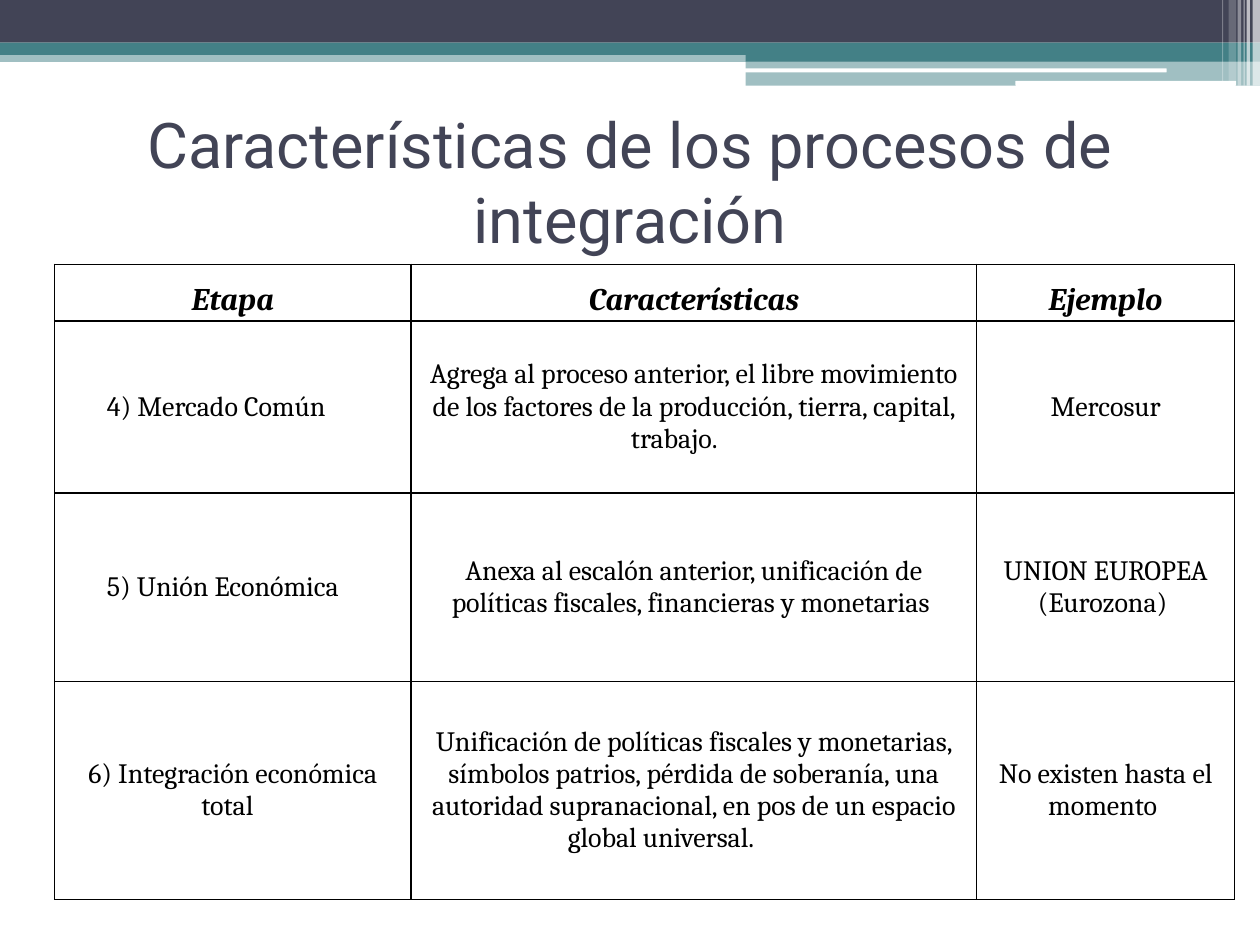
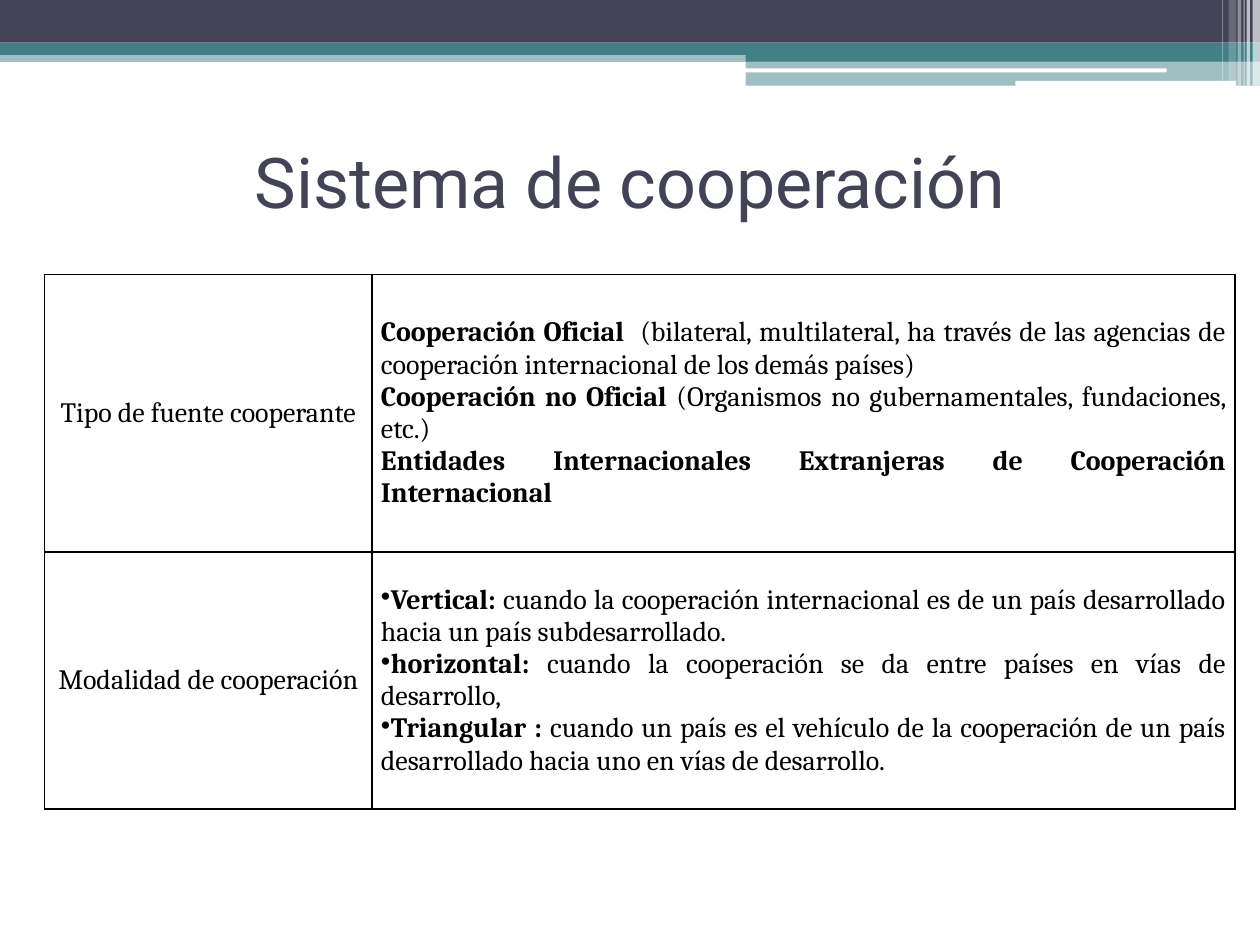
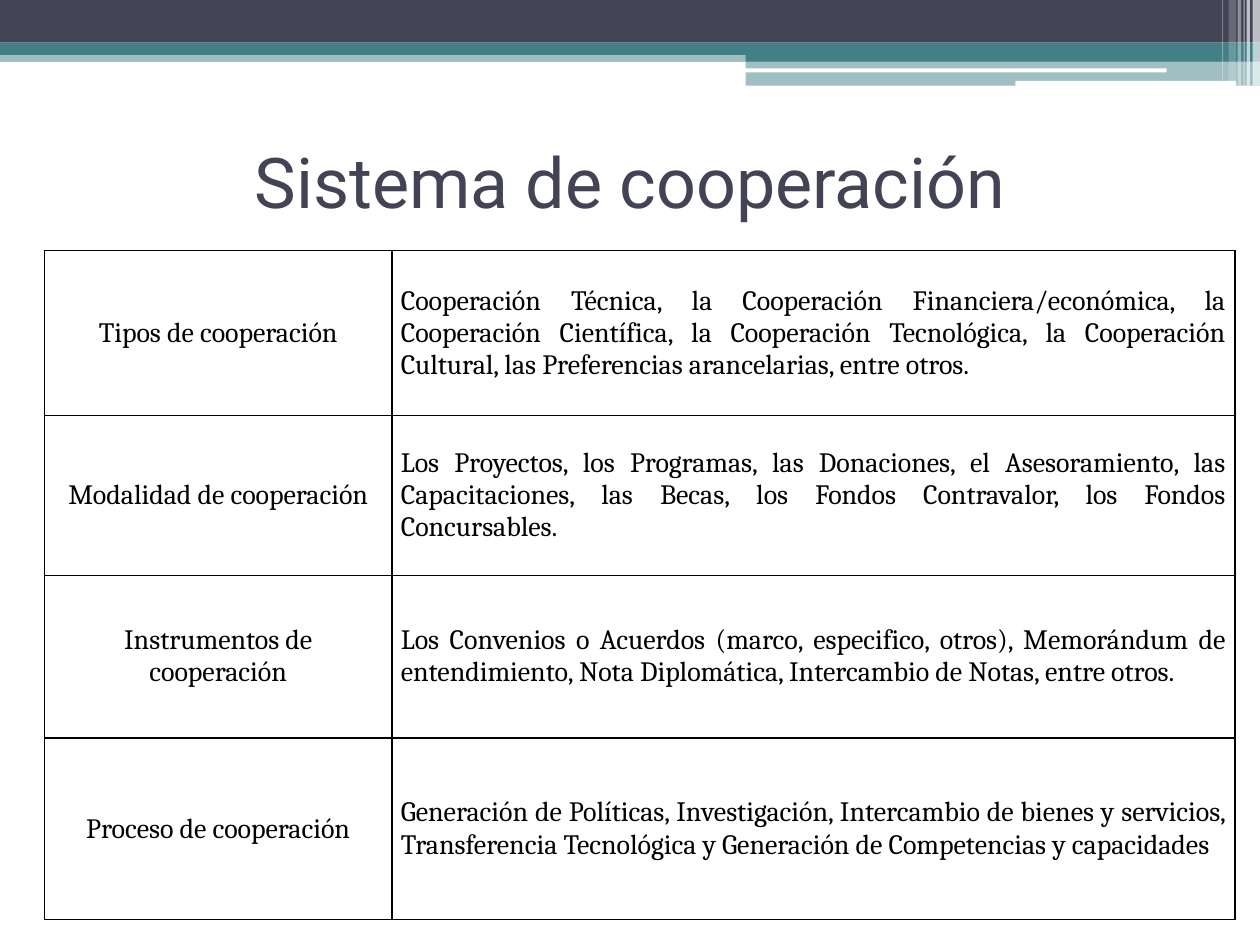
from lxml import etree
from pptx import Presentation
from pptx.dml.color import RGBColor
from pptx.enum.shapes import MSO_SHAPE
from pptx.enum.text import MSO_ANCHOR, PP_ALIGN
from pptx.oxml.ns import qn
from pptx.util import Cm, Pt

NAVY = RGBColor(0x42, 0x44, 0x56)
TEAL = RGBColor(0x43, 0x80, 0x86)
WHITE = RGBColor(0xFF, 0xFF, 0xFF)
BLACK = RGBColor(0x00, 0x00, 0x00)

RECT = MSO_SHAPE.RECTANGLE
ROUND = MSO_SHAPE.ROUNDED_RECTANGLE
TOP, MIDDLE = MSO_ANCHOR.TOP, MSO_ANCHOR.MIDDLE
CENTER, JUSTIFY = PP_ALIGN.CENTER, PP_ALIGN.JUSTIFY

BAND_BOX = (0, 0, 25.4, 1.73)
TITLE_BOX = (0.5, 2.16, 24.4, 2.97)
BANDS = [
    (RECT, 0, 1.02, 25.4, 0.23, TEAL, 50),
    (RECT, 0, 0, 25.4, 0.86, NAVY, 100),
    (RECT, 0, 0.86, 25.4, 0.25, TEAL, 100),
    (RECT, 15.03, 0.99, 10.37, 0.25, TEAL, 100),
    (RECT, 15.03, 1.23, 10.37, 0.5, TEAL, 50),
    (ROUND, 15.01, 1.38, 8.51, 0.08, WHITE, 100),
    (ROUND, 20.47, 1.63, 4.45, 0.1, WHITE, 100),
    (RECT, 25.25, 0, 0.15, 1.73, WHITE, 65),
    (RECT, 25.13, 0, 0.07, 1.73, WHITE, 65),
    (RECT, 25.07, 0, 0.02, 1.73, WHITE, 60),
    (RECT, 24.95, 0, 0.07, 1.73, WHITE, 40),
    (RECT, 24.77, 0, 0.15, 1.63, WHITE, 20),
    (RECT, 24.64, 0, 0.02, 1.63, WHITE, 30),
]

TITLE = {"name": "Roboto", "size": Pt(40)}
HEAD = {"name": "Cambria", "size": Pt(18), "bold": True, "italic": True}
BODY = {"name": "Cambria", "size": Pt(16)}
CELL = {"margin_left": Cm(0.18), "margin_right": Cm(0.18),
        "margin_top": 0, "margin_bottom": 0}

STAGES = [
    ["Etapa", "Características", "Ejemplo"],
    ["4) Mercado Común \t",
     "Agrega al proceso anterior, el libre movimiento de los factores de la "
     "producción, tierra, capital, trabajo. \t",
     "Mercosur"],
    ["5) Unión Económica \t",
     "Anexa al escalón anterior, unificación de políticas fiscales, "
     "financieras y monetarias ",
     "UNION EUROPEA (Eurozona) "],
    ["6) Integración económica total \t",
     "Unificación de políticas fiscales y monetarias, símbolos patrios, "
     "pérdida de soberanía, una autoridad supranacional, en pos de un espacio "
     "global universal. \t",
     "No existen hasta el momento "],
]
SOURCES = [
    ["Tipo de fuente cooperante", [
        ("", "Cooperación Oficial  ",
         "(bilateral, multilateral, ha través de las agencias de cooperación "
         "internacional de los demás países) "),
        ("", "Cooperación no Oficial ",
         "(Organismos no gubernamentales, fundaciones, etc.)"),
        ("", "Entidades Internacionales Extranjeras de Cooperación "
         "Internacional", "")]],
    ["Modalidad de cooperación", [
        ("•", "Vertical: ",
         "cuando la cooperación internacional es de un país desarrollado "
         "hacia un país subdesarrollado. "),
        ("•", "horizontal: ",
         "cuando la cooperación se da entre países en vías de desarrollo, "),
        ("•", "Triangular : ",
         "cuando un país es el vehículo de la cooperación de un país "
         "desarrollado hacia uno en vías de desarrollo. ")]],
]
KINDS = [
    ["Tipos de cooperación",
     "Cooperación Técnica, la Cooperación Financiera/económica, la "
     "Cooperación Científica, la Cooperación Tecnológica, la Cooperación "
     "Cultural, las Preferencias arancelarias, entre otros."],
    ["Modalidad de cooperación",
     "Los Proyectos, los Programas, las Donaciones, el Asesoramiento, las "
     "Capacitaciones, las Becas, los Fondos Contravalor, los Fondos "
     "Concursables. "],
    ["Instrumentos de cooperación",
     "Los Convenios o Acuerdos (marco, especifico, otros), Memorándum de "
     "entendimiento, Nota Diplomática, Intercambio de Notas, entre otros."],
    ["Proceso de cooperación",
     "Generación de Políticas, Investigación, Intercambio de bienes y "
     "servicios, Transferencia Tecnológica y Generación de Competencias y "
     "capacidades"],
]


def apply(item, style):
    """Set each attribute named in a style."""
    for name, value in style.items():
        setattr(item, name, value)


def add_run(para, text, style, color, **extra):
    """Add one formatted run to a paragraph."""
    run = para.add_run()
    run.text = text
    apply(run.font, {**style, **extra})
    run.font.color.rgb = color


def draw_bands(slide, box):
    """Draw the layered bands along the top."""
    left, top = box[:2]
    for kind, x, y, wide, high, color, alpha in BANDS:
        band = slide.shapes.add_shape(
            kind, Cm(left + x), Cm(top + y), Cm(wide), Cm(high))
        band.shadow.inherit = False
        band.line.fill.background()
        band.fill.solid()
        band.fill.fore_color.rgb = color
        if alpha < 100:
            tint = band.fill._xPr.find(qn("a:solidFill"))[0]
            etree.SubElement(tint, qn("a:alpha"), val=str(alpha * 1000))


def draw_title(slide, box, text, size):
    """Write the centred slide title."""
    frame = slide.shapes.add_textbox(*map(Cm, box)).text_frame
    apply(frame, {"word_wrap": True, "vertical_anchor": MIDDLE})
    para = frame.paragraphs[0]
    para.alignment = CENTER
    add_run(para, text, TITLE, NAVY, size=Pt(size))


def rule_cell(cell):
    """Give a cell black borders and no fill."""
    props = cell._tc.get_or_add_tcPr()
    for side in ("lnL", "lnR", "lnT", "lnB"):
        line = etree.SubElement(props, qn("a:" + side), w=str(Pt(1)))
        fill = etree.SubElement(line, qn("a:solidFill"))
        etree.SubElement(fill, qn("a:srgbClr"), val=str(BLACK))
    cell.fill.background()


def fill_cell(cell, content, align, style):
    """Write plain text or marked paragraphs into a cell."""
    parts = [("", "", content)] if isinstance(content, str) else content
    frame = cell.text_frame
    for i, (mark, strong, plain) in enumerate(parts):
        para = frame.add_paragraph() if i else frame.paragraphs[0]
        para.alignment = align
        if mark:
            props = para._p.get_or_add_pPr()
            apply_xml = {"marL": "0", "indent": "0"}
            props.attrib.update(apply_xml)
            etree.SubElement(props, qn("a:buChar"), char=mark)
        if strong:
            add_run(para, strong, style, BLACK, bold=True)
        if plain:
            add_run(para, plain, style, BLACK)


def draw_table(slide, box, cols, rows, data, aligns, head=False):
    """Draw a ruled table with its corner at the box."""
    left, top = box
    table = slide.shapes.add_table(
        len(rows), len(cols), Cm(left), Cm(top),
        Cm(sum(cols)), Cm(sum(rows))).table
    apply(table, {"first_row": head, "horz_banding": False})
    for col, wide in zip(table.columns, cols):
        col.width = Cm(wide)
    for r, (row, high) in enumerate(zip(table.rows, rows)):
        row.height = Cm(high)
        title = head and r == 0
        for cell, content, align in zip(row.cells, data[r], aligns):
            apply(cell, CELL)
            cell.vertical_anchor = TOP if title else MIDDLE
            rule_cell(cell)
            fill_cell(cell, content, align, HEAD if title else BODY)
            if title:
                cell.text_frame.paragraphs[0].line_spacing = 1.5


def add_page(deck, text, size, *grid, **extra):
    """Add a slide with bands, title and table."""
    slide = deck.slides.add_slide(deck.slide_layouts[6])
    draw_bands(slide, BAND_BOX)
    draw_title(slide, TITLE_BOX, text, size)
    draw_table(slide, *grid, **extra)


def main():
    """Build and save the deck."""
    deck = Presentation()
    apply(deck, {"slide_width": Cm(25.4), "slide_height": Cm(19.05)})
    pair = (CENTER, JUSTIFY)
    add_page(deck, "Características de los procesos de integración", 36,
             (1.1, 5.33), (7.19, 11.4, 5.2), (1.09, 3.46, 3.8, 4.4),
             STAGES, (CENTER,) * 3, head=True)
    add_page(deck, "Sistema de cooperación", 40,
             (0.9, 5.53), (6.6, 17.4), (5.6, 5.18), SOURCES, pair)
    add_page(deck, "Sistema de cooperación", 40,
             (0.9, 5.05), (7, 17), (3.33, 3.22, 3.28, 3.66), KINDS, pair)
    deck.save("out.pptx")


if __name__ == "__main__":
    main()
